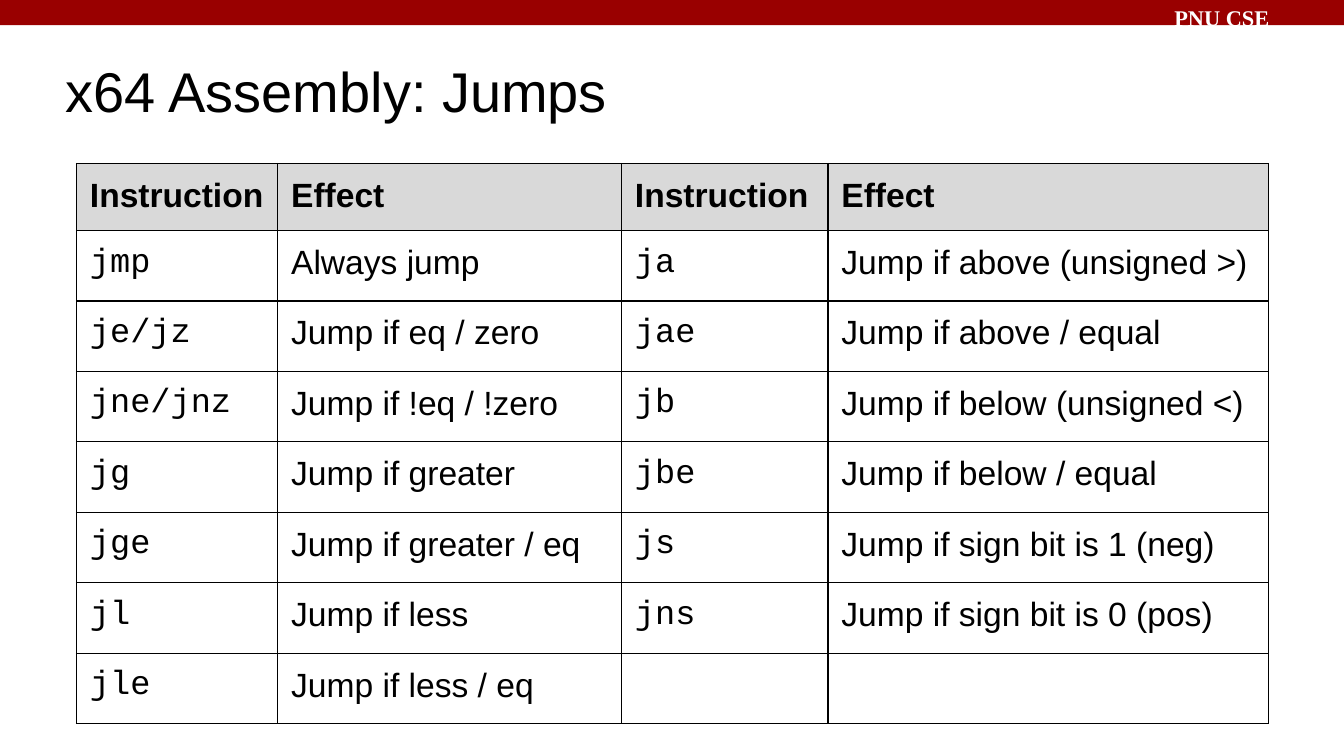
from dataclasses import dataclass

from lxml.etree import SubElement
from pptx import Presentation
from pptx.dml.color import RGBColor
from pptx.enum.shapes import MSO_SHAPE
from pptx.enum.text import MSO_ANCHOR, MSO_AUTO_SIZE, PP_ALIGN
from pptx.oxml.ns import qn
from pptx.util import Pt


@dataclass(frozen=True)
class Theme:
    """Colours, fonts and type sizes of the deck."""
    band: str = "990000"
    header_fill: str = "D9D9D9"
    ink: str = "000000"
    paper: str = "FFFFFF"
    sans: str = "Arial"
    mono: str = "Courier New"
    serif: str = "Times New Roman"
    title_size: float = 30
    table_size: float = 18
    label_size: float = 12
    border: float = 0.75
    inset: float = 7.2


class SlideBuilder:
    """Adds styled elements to one slide; lengths are in points."""

    def __init__(self, slide, theme):
        """Keep the slide and its theme."""
        self.slide = slide
        self.theme = theme

    def style(self, paragraph, font, size, color, bold=False):
        """Format every run of a left-aligned paragraph."""
        paragraph.alignment = PP_ALIGN.LEFT
        for run in paragraph.runs:
            run.font.name = font
            run.font.size = Pt(size)
            run.font.bold = bold
            run.font.color.rgb = RGBColor.from_string(color)

    def band(self, left, top, width, height):
        """Add a plain coloured band."""
        band = self.slide.shapes.add_shape(
            MSO_SHAPE.RECTANGLE, Pt(left), Pt(top), Pt(width), Pt(height))
        band.shadow.inherit = False
        band.fill.solid()
        band.fill.fore_color.rgb = RGBColor.from_string(self.theme.band)
        band.line.fill.background()

    def label(self, text, left, top, width, height):
        """Add the small bold label on the band."""
        label = self.slide.shapes.add_textbox(
            Pt(left), Pt(top), Pt(width), Pt(height))
        label.text_frame.word_wrap = True
        label.text_frame.text = text
        self.style(label.text_frame.paragraphs[0], self.theme.serif,
                   self.theme.label_size, self.theme.paper, bold=True)

    def title(self, text, left, top, width, height):
        """Fill, place and format the title placeholder."""
        title = self.slide.shapes.title
        title.left, title.top = Pt(left), Pt(top)
        title.width, title.height = Pt(width), Pt(height)
        frame = title.text_frame
        frame.text = text
        frame.word_wrap = True
        frame.auto_size = MSO_AUTO_SIZE.NONE
        frame.vertical_anchor = MSO_ANCHOR.MIDDLE
        frame.margin_left = frame.margin_right = Pt(self.theme.inset)
        frame.margin_top = frame.margin_bottom = Pt(self.theme.inset)
        self.style(frame.paragraphs[0], self.theme.sans,
                   self.theme.title_size, self.theme.ink)

    def borders(self, cell):
        """Draw a thin line on all four sides of a cell."""
        properties = cell._tc.get_or_add_tcPr()
        for side in ("lnL", "lnR", "lnT", "lnB"):
            line = SubElement(properties, qn(f"a:{side}"),
                              w=str(Pt(self.theme.border)))
            fill = SubElement(line, qn("a:solidFill"))
            SubElement(fill, qn("a:srgbClr"), val=self.theme.ink)

    def cell(self, cell, text, is_header, is_code):
        """Write and format one table cell."""
        cell.margin_left = cell.margin_right = Pt(self.theme.inset)
        cell.margin_top = cell.margin_bottom = Pt(self.theme.inset)
        self.borders(cell)
        if is_header:
            cell.fill.solid()
            cell.fill.fore_color.rgb = RGBColor.from_string(
                self.theme.header_fill)
        else:
            cell.fill.background()
        cell.text = text
        font = self.theme.mono if is_code else self.theme.sans
        self.style(cell.text_frame.paragraphs[0], font,
                   self.theme.table_size, self.theme.ink, bold=is_header)

    def table(self, rows, left, top, widths, header_height, row_height):
        """Add a table with a header row and code in every other column."""
        heights = [header_height] + [row_height] * (len(rows) - 1)
        table = self.slide.shapes.add_table(
            len(rows), len(widths), Pt(left), Pt(top),
            Pt(sum(widths)), Pt(sum(heights))).table
        for column, width in zip(table.columns, widths):
            column.width = Pt(width)
        for i, (row, height) in enumerate(zip(rows, heights)):
            table.rows[i].height = Pt(height)
            for j, text in enumerate(row):
                self.cell(table.cell(i, j), text, is_header=i == 0,
                          is_code=i > 0 and j % 2 == 0)


JUMPS = [
    ("Instruction", "Effect", "Instruction", "Effect"),
    ("jmp", "Always jump", "ja", "Jump if above (unsigned >)"),
    ("je/jz", "Jump if eq / zero", "jae", "Jump if above / equal"),
    ("jne/jnz", "Jump if !eq / !zero", "jb", "Jump if below (unsigned <)"),
    ("jg", "Jump if greater", "jbe", "Jump if below / equal"),
    ("jge", "Jump if greater / eq", "js", "Jump if sign bit is 1 (neg)"),
    ("jl", "Jump if less", "jns", "Jump if sign bit is 0 (pos)"),
    ("jle", "Jump if less / eq", "", ""),
]


def main():
    """Build and save the jump instruction slide."""
    deck = Presentation()
    deck.slide_width, deck.slide_height = Pt(720), Pt(405)
    title_only = deck.slide_layouts[5]
    page = SlideBuilder(deck.slides.add_slide(title_only), Theme())
    page.band(0, 0, 720, 13.5)
    page.label("PNU CSE", 622, -1.5, 103, 21.6)
    page.title("x64 Assembly: Jumps", 28, 26, 598, 45)
    page.table(JUMPS, 41, 87.5, widths=(107.8, 184.2, 110.6, 235.9),
               header_height=36, row_height=37.75)
    deck.save("out.pptx")


main()
